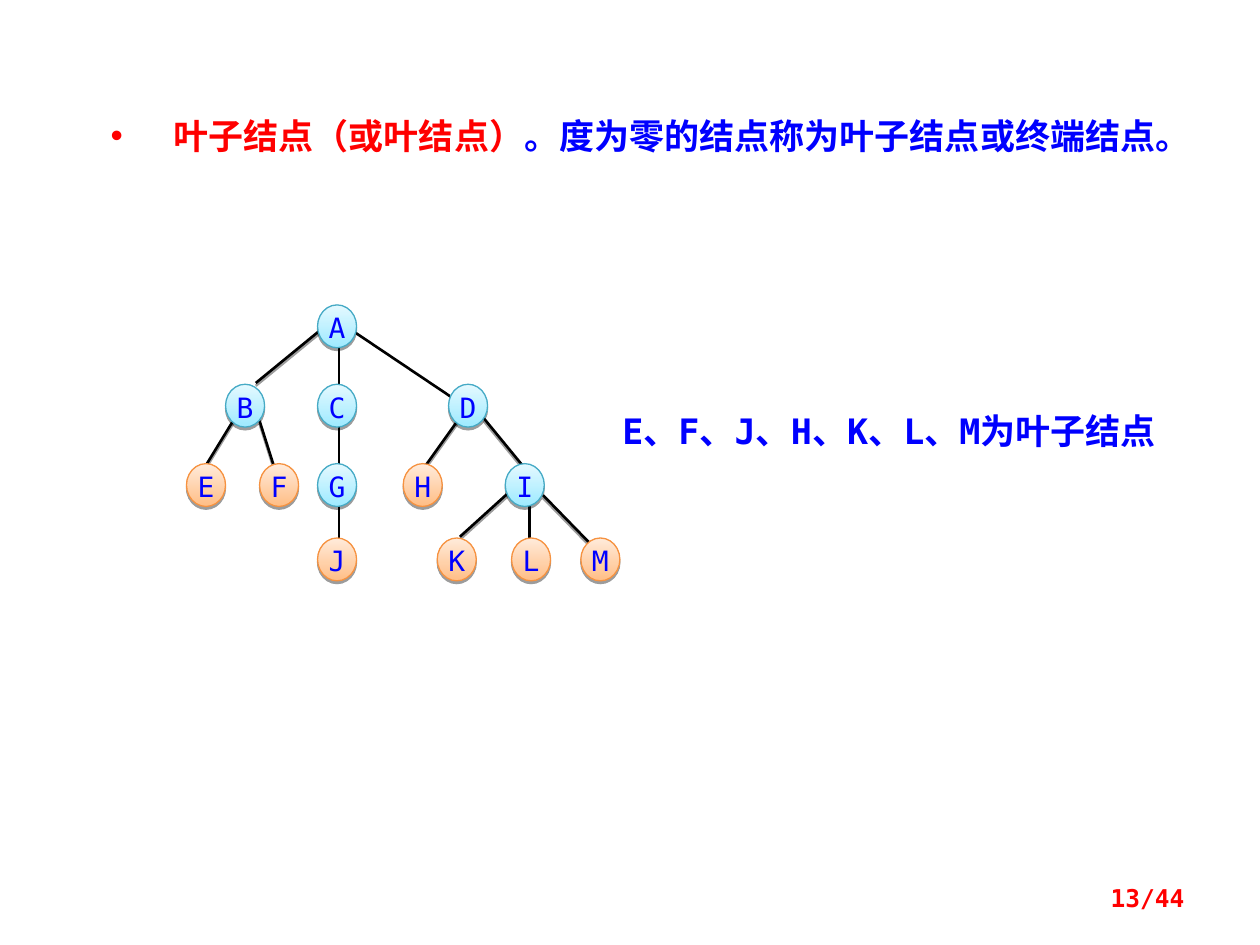
from lxml import etree
from pptx import Presentation
from pptx.dml.color import RGBColor
from pptx.enum.shapes import MSO_CONNECTOR, MSO_SHAPE
from pptx.enum.text import MSO_ANCHOR, PP_ALIGN
from pptx.oxml.ns import qn
from pptx.util import Inches, Pt

LINE = MSO_CONNECTOR.STRAIGHT
OVAL = MSO_SHAPE.OVAL
TOP, MIDDLE = MSO_ANCHOR.TOP, MSO_ANCHOR.MIDDLE
LEFT, CENTER, RIGHT = PP_ALIGN.LEFT, PP_ALIGN.CENTER, PP_ALIGN.RIGHT
MONO, HAN = "DejaVu Sans Mono", "Noto Sans CJK SC"
COLORS = {
    "red": "FF0000", "blue": "0000FF", "black": "000000",
    "inner low": "9EEAFF", "inner high": "E4F9FF", "inner line": "46AAC5",
    "leaf low": "FFBE86", "leaf high": "FFEBDB", "leaf line": "F69240",
}
NODE_W, NODE_H = 0.31, 0.34
ROWS = [2.42, 3.05, 3.68, 4.27]
# Each level of the tree: letter and left edge
LEVELS = [
    [("A", 2.52)],
    [("B", 1.79), ("C", 2.52), ("D", 3.56)],
    [("E", 1.48), ("F", 2.06), ("G", 2.52), ("H", 3.2), ("I", 4.01)],
    [("J", 2.52), ("K", 3.47), ("L", 4.06), ("M", 4.61)],
]
LEAVES = "EFHJKLM"
SHADED = [
    (2.53, 2.63, 2.03, 3.04),  # A-B
    (1.85, 3.34, 1.63, 3.7),   # B-E
    (2.06, 3.34, 2.19, 3.75),  # B-F
    (3.66, 3.3, 3.36, 3.72),   # D-H
    (3.84, 3.32, 4.16, 3.71),  # D-I
    (4.07, 3.88, 3.65, 4.26),  # I-K
    (4.31, 3.93, 4.68, 4.31),  # I-M
]
PLAIN = [
    (2.69, 2.74, 2.69, 4.32),  # A-C-G-J
    (4.2, 4.01, 4.2, 4.32),    # I-L
    (2.82, 2.64, 3.58, 3.15),  # A-D
]


def rgb(name):
    return RGBColor.from_string(COLORS[name])


def add_shade(shape, on=True):
    """Give the shape a short downward shadow, or an empty effect list."""
    props = shape._element.spPr
    for old in props.findall(qn("a:effectLst")):
        props.remove(old)
    effects = etree.SubElement(props, qn("a:effectLst"))
    if on:
        shade = etree.SubElement(effects, qn("a:outerShdw"), blurRad="0",
                                 dist=str(Pt(1.6)), dir="5400000", rotWithShape="0")
        color = etree.SubElement(shade, qn("a:srgbClr"), val=COLORS["black"])
        etree.SubElement(color, qn("a:alpha"), val="38000")


def add_bullet(para, color):
    props = para._p.get_or_add_pPr()
    props.set("marL", str(Inches(0.5)))
    props.set("indent", str(-Inches(0.5)))
    paint = etree.SubElement(props, qn("a:buClr"))
    etree.SubElement(paint, qn("a:srgbClr"), val=COLORS[color])
    etree.SubElement(props, qn("a:buFont"), typeface="Arial")
    etree.SubElement(props, qn("a:buChar"), char="•")


def add_run(para, text, size=20, color="blue", bold=True, face=MONO):
    run = para.add_run()
    run.text = text
    font = run.font
    font.size, font.bold, font.name = Pt(size), bold, face
    font.color.rgb = rgb(color)
    latin = font._element.find(qn("a:latin"))
    latin.addnext(etree.Element(qn("a:ea"), typeface=HAN))


def write(shape, *runs, align=LEFT, anchor=TOP, space=None, pad=(0.1, 0.05),
          bullet=None, **style):
    """Fill a shape with one paragraph; each run is a text and its own format."""
    frame = shape.text_frame
    frame.word_wrap, frame.vertical_anchor = True, anchor
    frame.margin_left = frame.margin_right = Inches(pad[0])
    frame.margin_top = frame.margin_bottom = Inches(pad[1])
    para = frame.paragraphs[0]
    para.alignment, para.line_spacing = align, space
    if bullet:
        add_bullet(para, bullet)
    for text, own in runs:
        add_run(para, text, **{**style, **own})


def add_box(slide, place, *runs, **style):
    box = slide.shapes.add_textbox(*map(Inches, place))
    write(box, *runs, **style)


def add_edge(slide, ends, shaded):
    edge = slide.shapes.add_connector(LINE, *map(Inches, ends))
    edge.line.color.rgb = rgb("black")
    edge.line.width = Pt(1.5)
    add_shade(edge, shaded)


def add_node(slide, name, left, top):
    kind = "leaf" if name in LEAVES else "inner"
    node = slide.shapes.add_shape(OVAL, *map(Inches, (left, top, NODE_W, NODE_H)))
    node.fill.gradient()
    node.fill.gradient_angle = 90
    for stop, end in zip(node.fill.gradient_stops, ("low", "high")):
        stop.color.rgb = rgb(f"{kind} {end}")
    node.line.color.rgb = rgb(f"{kind} line")
    node.line.width = Pt(0.75)
    add_shade(node)
    write(node, (name, {}), align=CENTER, space=Pt(19), pad=(0, 0),
          size=16, bold=False)


def add_tree(slide):
    for ends in SHADED:
        add_edge(slide, ends, True)
    for ends in PLAIN:
        add_edge(slide, ends, False)
    for top, level in zip(ROWS, LEVELS):
        for name, left in level:
            add_node(slide, name, left, top)


def main():
    deck = Presentation()
    deck.slide_width, deck.slide_height = Inches(10), Inches(7.5)
    slide = deck.slides.add_slide(deck.slide_layouts[6])
    add_box(slide, (0.78, 0.86, 8.83, 0.44),
            ("叶子结点（或叶结点）", {"color": "red", "face": HAN}),
            ("。度为零的结点称为叶子结点或终端结点。", {}), bullet="red")
    add_box(slide, (4.84, 3.2, 4.45, 0.77), ("E、F、J、H、K、L、M为叶子结点", {}))
    add_tree(slide)
    add_box(slide, (7.17, 6.95, 2.33, 0.4), ("13/44", {}),
            align=RIGHT, anchor=MIDDLE, space=0.8, size=14, color="red")
    deck.save("out.pptx")


if __name__ == "__main__":
    main()
